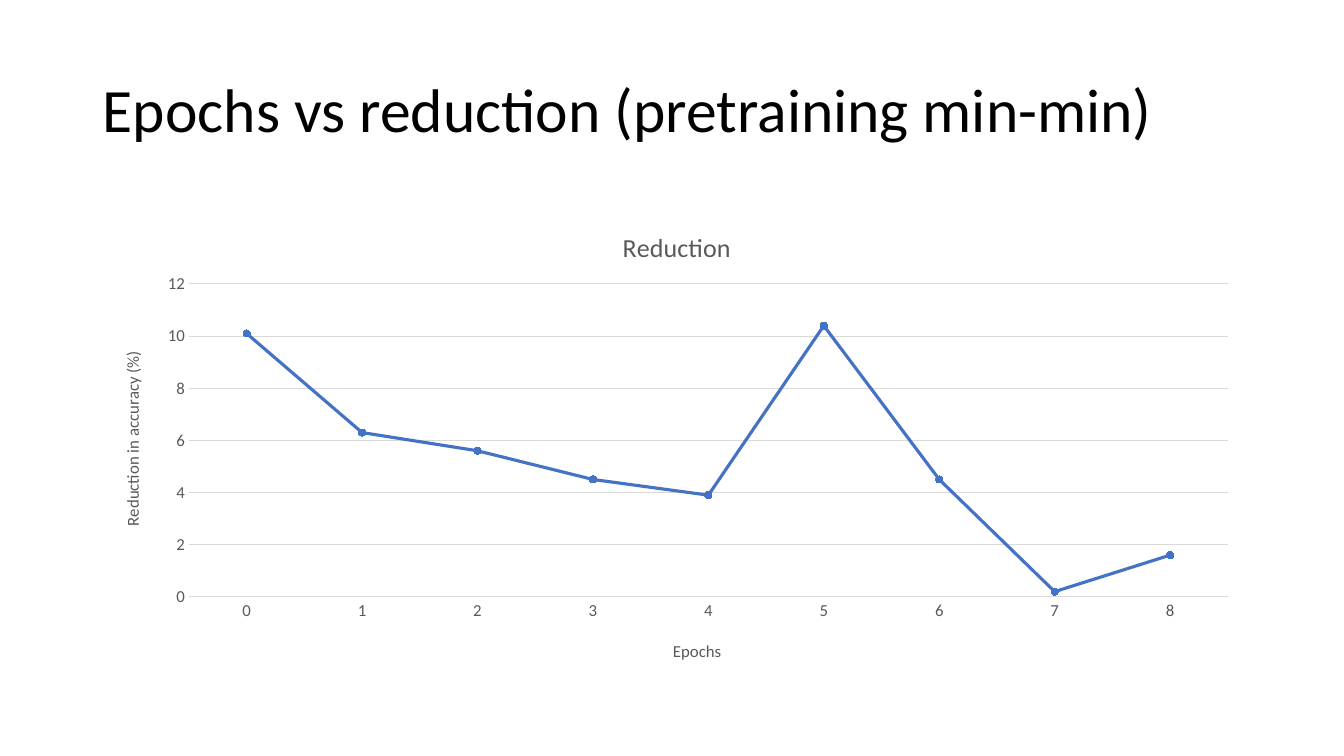
from lxml.etree import SubElement as Sub
from pptx import Presentation
from pptx.chart.data import CategoryChartData as Data
from pptx.dml.color import RGBColor
from pptx.enum.chart import (XL_CHART_TYPE as Kind, XL_MARKER_STYLE as Mark,
                             XL_TICK_MARK as Tick)
from pptx.enum.text import MSO_ANCHOR as Anchor
from pptx.oxml.ns import qn
from pptx.util import Pt

SCALE = 914400 / 100.8
FONT, GREY, RULE, BLUE = "Calibri", "595959", "D9D9D9", "4472C4"
CUTS = [10.1, 6.3, 5.6, 4.5, 3.9, 10.4, 4.5, 0.2, 1.6]


def px(size):
    """Turn pixels into EMU."""
    return round(size * SCALE)


def tint(code):
    """Turn a hex string into a colour."""
    return RGBColor.from_string(code)


def style(font, size, color):
    """Set the face, size and colour of a font."""
    font.name, font.size, font.bold = FONT, Pt(size), False
    font.color.rgb = tint(color)


def stroke(line, color, width):
    """Give a line its colour and width."""
    line.color.rgb, line.width = tint(color), Pt(width)


def write(frame, text, size=12, color=GREY, space=None):
    """Put formatted text into a text frame."""
    para = frame.paragraphs[0]
    para.line_spacing = space
    run = para.add_run()
    run.text = text
    style(run.font, size, color)


def place(node, box, spot, index):
    """Fix a chart part at a spot given in pixels inside the chart box."""
    for old in node.findall(qn("c:layout")):
        node.remove(old)
    layout = node.makeelement(qn("c:layout"))
    node.insert(index, layout)
    manual = Sub(layout, qn("c:manualLayout"))
    parts = {"xMode": "edge", "yMode": "edge"}
    if len(spot) == 4:
        Sub(manual, qn("c:layoutTarget")).set("val", "inner")
    for name, value, whole in zip("xywh", spot, box[2:] * 2):
        parts[name] = f"{value / whole:.4f}"
    for name, value in parts.items():
        Sub(manual, qn("c:" + name)).set("val", value)


def label(title, box, spot, text, turn=0, **form):
    """Write a chart or axis title at its spot."""
    write(title.text_frame, text, **form)
    body = title.text_frame._txBody.find(qn("a:bodyPr"))
    body.set("rot", str(turn * 60000))
    body.set("vert", "horz")
    place(title._element, box, spot, 1)


def heading(slide, box):
    """Add the slide title."""
    frame = slide.shapes.add_textbox(*map(px, box)).text_frame
    frame.word_wrap, frame.vertical_anchor = True, Anchor.MIDDLE
    write(frame, "Epochs vs reduction (pretraining min-min)",
          size=44, color="000000", space=0.9)


def graph(slide, box):
    """Add the line chart of reduction by epoch."""
    data = Data()
    data.categories = [str(epoch) for epoch in range(len(CUTS))]
    data.add_series("Reduction", CUTS)
    chart = slide.shapes.add_chart(
        Kind.LINE_MARKERS_STACKED, *map(px, box), data).chart
    chart.has_legend = False
    chart.font.name, chart.font.size = FONT, Pt(10)
    label(chart.chart_title, box, (525, 23), "Reduction", size=18.6)

    across, up = chart.category_axis, chart.value_axis
    for axis in (across, up):
        axis.major_tick_mark = axis.minor_tick_mark = Tick.NONE
        style(axis.tick_labels.font, 12, GREY)
    label(across.axis_title, box, (577, 435), "Epochs")
    label(up.axis_title, box, (25, 146), "Reduction in accuracy (%)", turn=-90)
    stroke(across.format.line, RULE, 0.75)
    up.format.line.fill.background()
    stroke(up.major_gridlines.format.line, RULE, 0.75)
    up.minimum_scale, up.maximum_scale, up.major_unit = 0, 12, 2

    plot = chart.plots[0]
    plot.vary_by_categories = False
    line = plot.series[0]
    line.smooth = False
    stroke(line.format.line, BLUE, 2.25)
    dot = line.marker
    dot.style, dot.size = Mark.CIRCLE, 5
    dot.format.fill.solid()
    dot.format.fill.fore_color.rgb = tint(BLUE)
    stroke(dot.format.line, BLUE, 0.75)
    area = chart._chartSpace.find(".//" + qn("c:plotArea"))
    place(area, box, (96, 82, 1039, 313), 0)


def main():
    """Build and save the slide."""
    deck = Presentation()
    deck.slide_width, deck.slide_height = px(1344), px(756)
    slide = deck.slides.add_slide(deck.slide_layouts[6])
    heading(slide, (93, 40, 1159, 146))
    graph(slide, (93, 202, 1159, 480))
    deck.save("out.pptx")


main()
